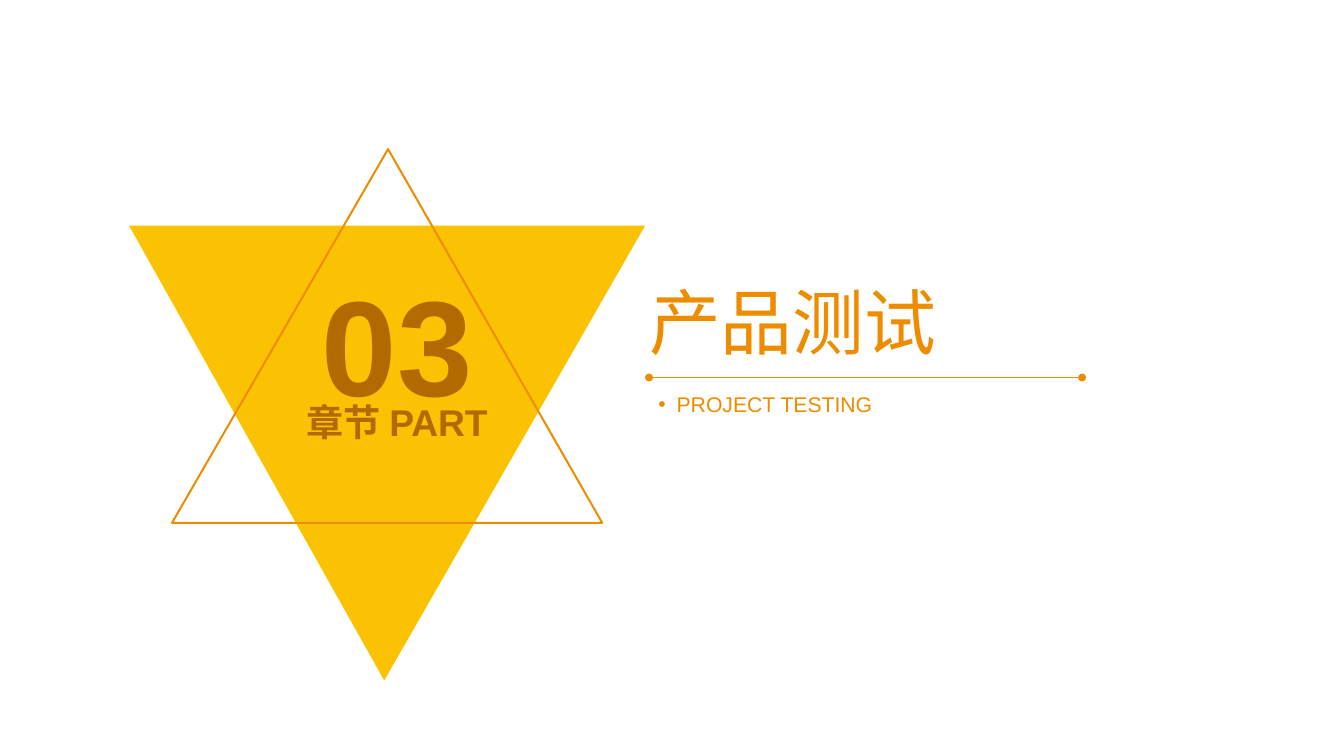
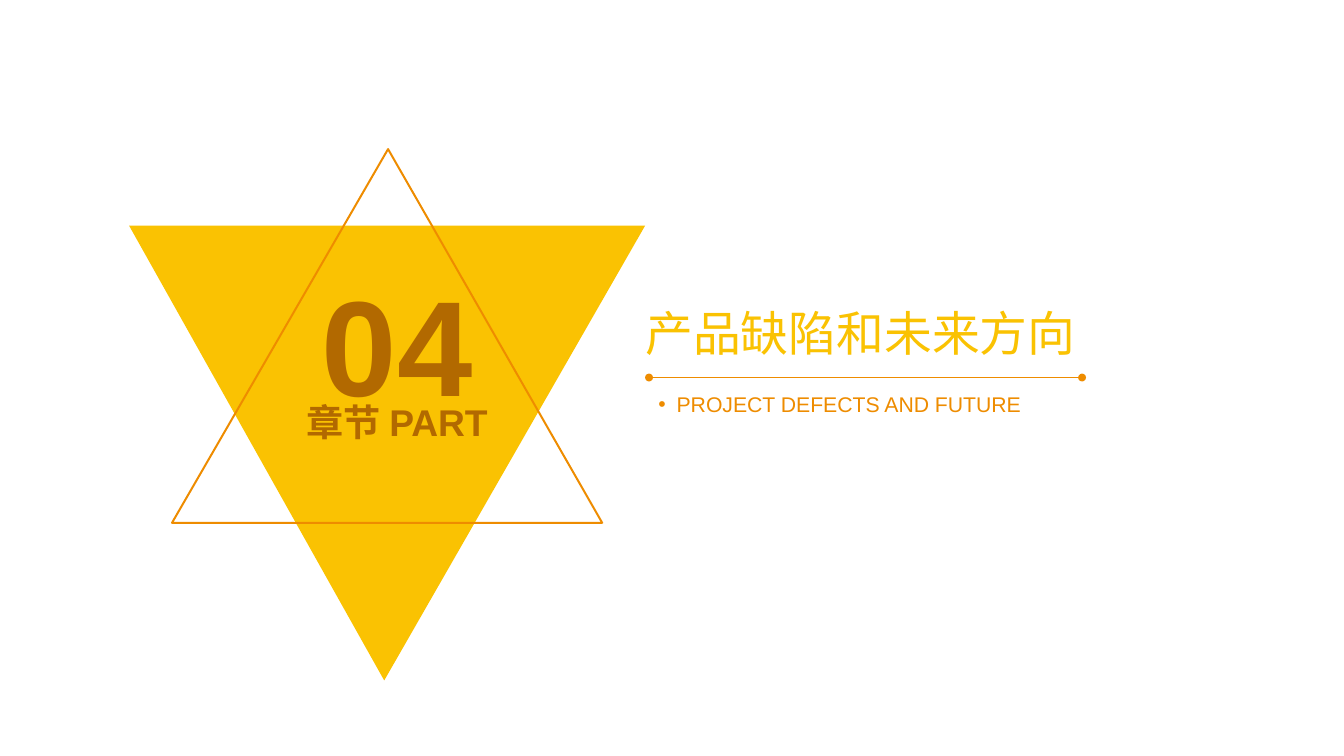
from lxml import etree
from pptx import Presentation
from pptx.dml.color import RGBColor
from pptx.enum.shapes import MSO_CONNECTOR
from pptx.enum.text import MSO_ANCHOR, MSO_AUTO_SIZE, PP_ALIGN
from pptx.oxml.ns import qn
from pptx.util import Inches, Pt

LEFT, MID = PP_ALIGN.LEFT, PP_ALIGN.CENTER
TOP, CENTRE, BASE = MSO_ANCHOR.TOP, MSO_ANCHOR.MIDDLE, MSO_ANCHOR.BOTTOM
FIXED = MSO_AUTO_SIZE.NONE
STRAIGHT = MSO_CONNECTOR.STRAIGHT

FONT = "Arial"
INK = {"gold": "FAC202", "orange": "EE8C00", "brown": "B26900"}
COLS, ROWS = 1406, 791
CELL = Inches(0.01)
STAR = (135, 156)
HEAD = (679, 301)

PARTS = [
    dict(num="03", title="产品测试", size=54, ink="orange",
         spot=(0, 0, 489, 91), sub="PROJECT TESTING", span=246),
    dict(num="04", title="产品缺陷和未来方向", size=36, ink="gold",
         spot=(-4, 24, 489, 61), sub="PROJECT DEFECTS AND FUTURE", span=403),
]


def tint(name):
    return RGBColor.from_string(INK[name])


def place(box, spot):
    x, y, w, h = spot
    return [CELL * n for n in (box[0] + x, box[1] + y, w, h)]


def write(shape, text, size, ink, bold=False, align=LEFT, anchor=TOP,
          space=1.0, pad=(0, 0), wrap=True):
    frame = shape.text_frame
    frame.text = text
    frame.auto_size = FIXED
    frame.word_wrap = wrap
    frame.vertical_anchor = anchor
    frame.margin_left = frame.margin_right = Inches(pad[0])
    frame.margin_top = frame.margin_bottom = Inches(pad[1])
    para = frame.paragraphs[0]
    para.alignment = align
    para.line_spacing = space
    font = para.runs[0].font
    font.name, font.size, font.bold = FONT, Pt(size), bold
    font.color.rgb = tint(ink)
    return para


def label(slide, box, spot, text, size, ink, **style):
    shape = slide.shapes.add_textbox(*place(box, spot))
    return write(shape, text, size, ink, **style)


def outline(slide, box, points):
    spots = [(box[0] + x, box[1] + y) for x, y in points]
    pen = slide.shapes.build_freeform(*spots[0], scale=CELL)
    pen.add_line_segments(spots[1:], close=True)
    shape = pen.convert_to_shape()
    shape.shadow.inherit = False
    return shape


def star(slide, box, num):
    solid = outline(slide, box, [(0, 80), (540, 80), (267, 556)])
    solid.fill.solid()
    solid.fill.fore_color.rgb = tint("gold")
    solid.line.fill.background()
    frame = outline(slide, box, [(271, 0), (495, 391), (45, 391)])
    frame.fill.background()
    frame.line.color.rgb = tint("orange")
    frame.line.width = Pt(1.5)
    label(slide, box, (188, 115, 185, 172), num, 102, "brown",
          bold=True, align=MID, anchor=BASE)
    label(slide, box, (91, 267, 379, 47), "章节 PART", 28, "brown",
          bold=True, align=MID, space=0.9)


def rule(slide, box, spot):
    x, y, w, h = place(box, spot)
    line = slide.shapes.add_connector(STRAIGHT, x, y, x + w, y + h)
    line.line.color.rgb = tint("orange")
    line.line.width = Pt(1)
    props = line._element.spPr
    stroke = props.find(qn("a:ln"))
    for end in ("a:headEnd", "a:tailEnd"):
        etree.SubElement(stroke, qn(end), type="oval")
    etree.SubElement(props, qn("a:effectLst"))


def heading(slide, box, part):
    title = slide.shapes.title
    title.left, title.top, title.width, title.height = place(box, part["spot"])
    write(title, part["title"], part["size"], part["ink"], space=0.9)
    rule(slide, box, (0, 94, 453, 0))
    para = label(slide, box, (0, 103, part["span"], 37), part["sub"], 16,
                 "orange", anchor=CENTRE, pad=(0.1, 0.05), wrap=False)
    props = para._p.get_or_add_pPr()
    dent = Inches(0.19)
    props.set("marL", str(dent))
    props.set("indent", str(-dent))
    etree.SubElement(props, qn("a:buFont"), typeface=FONT)
    etree.SubElement(props, qn("a:buChar"), char="•")


def main():
    deck = Presentation()
    deck.slide_width, deck.slide_height = CELL * COLS, CELL * ROWS
    for part in PARTS:
        slide = deck.slides.add_slide(deck.slide_layouts[5])
        star(slide, STAR, part["num"])
        heading(slide, HEAD, part)
    deck.save("out.pptx")


if __name__ == "__main__":
    main()
